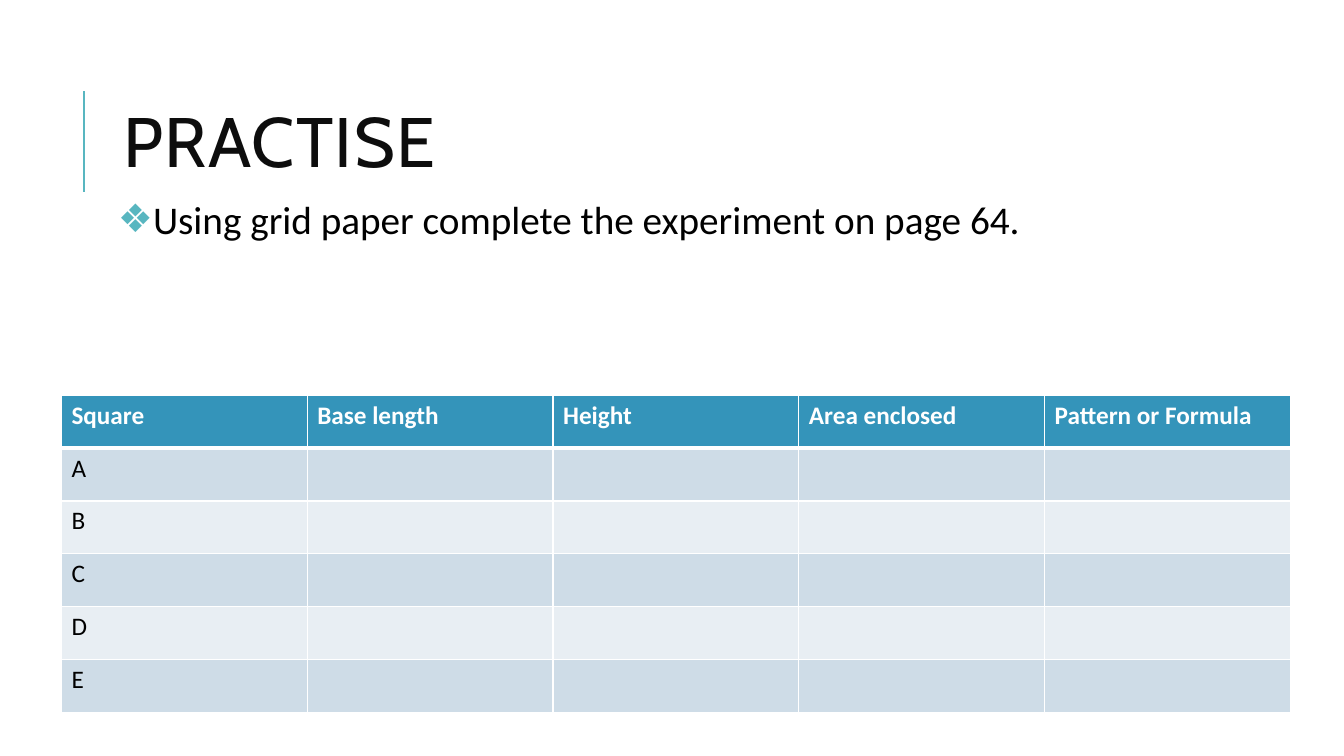
from dataclasses import dataclass

from lxml import etree
from pptx import Presentation
from pptx.dml.color import RGBColor
from pptx.enum.shapes import MSO_CONNECTOR
from pptx.enum.text import MSO_ANCHOR, MSO_AUTO_SIZE, PP_ALIGN
from pptx.oxml.ns import qn
from pptx.util import Inches, Pt

STRAIGHT = MSO_CONNECTOR.STRAIGHT
MIDDLE, TOP = MSO_ANCHOR.MIDDLE, MSO_ANCHOR.TOP
LEFT = PP_ALIGN.LEFT
NO_AUTOFIT = MSO_AUTO_SIZE.NONE


@dataclass(frozen=True)
class Theme:
    title_font: str = "Cabin"
    body_font: str = "Calibri"
    title_size: int = 50
    body_size: int = 28
    table_size: int = 18
    title_color: str = "0D0D0D"
    text_color: str = "000000"
    white: str = "FFFFFF"
    accent: str = "58B6C0"
    header_fill: str = "3494BA"
    band_fills: tuple = ("CEDCE7", "E8EEF3")


THEME = Theme()
HEADINGS = ["Square", "Base length", "Height", "Area enclosed", "Pattern or Formula"]
SQUARES = "ABCDE"


def add_run(paragraph, text, font_name, size, color, bold=False):
    run = paragraph.add_run()
    run.text = text
    run.font.name = font_name
    run.font.size = Pt(size)
    run.font.bold = bold
    run.font.color.rgb = RGBColor.from_string(color)
    return run


def place(shape, box):
    shape.left, shape.top, shape.width, shape.height = map(Inches, box)


def prepare_frame(shape, anchor):
    frame = shape.text_frame
    frame.word_wrap = True
    frame.auto_size = NO_AUTOFIT
    frame.vertical_anchor = anchor
    paragraph = frame.paragraphs[0]
    paragraph.alignment = LEFT
    paragraph.space_before = Pt(0)
    return frame, paragraph


def add_title(slide, box, text):
    left, top, _, height = box
    # Accent rule beside the title
    rule_x, rule_top = left - 0.29, top + 0.26
    rule = slide.shapes.add_connector(
        STRAIGHT, Inches(rule_x), Inches(rule_top + 1), Inches(rule_x), Inches(rule_top))
    rule.line.color.rgb = RGBColor.from_string(THEME.accent)
    rule.line.width = Pt(1.5)
    etree.SubElement(rule._element.spPr, qn("a:effectLst"))

    # Title text
    title = slide.shapes.title
    place(title, box)
    _, paragraph = prepare_frame(title, MIDDLE)
    paragraph.line_spacing = 0.8
    run = add_run(paragraph, text, THEME.title_font, THEME.title_size, THEME.title_color)
    run.font._element.set("spc", "100")


def add_instruction(slide, box, text):
    body = slide.placeholders[1]
    place(body, box)
    frame, paragraph = prepare_frame(body, TOP)
    frame.margin_left = frame.margin_right = Inches(0.05)
    frame.margin_top = frame.margin_bottom = Inches(0.05)
    paragraph.line_spacing = 0.9
    paragraph.space_after = Pt(2)

    # Hanging diamond bullet
    properties = paragraph._p.get_or_add_pPr()
    properties.set("marL", str(Inches(0.1)))
    properties.set("indent", str(-Inches(0.1)))
    bullet_color = etree.SubElement(properties, qn("a:buClr"))
    etree.SubElement(bullet_color, qn("a:srgbClr"), val=THEME.accent)
    etree.SubElement(properties, qn("a:buChar"), char="❖")
    add_run(paragraph, text, THEME.body_font, THEME.body_size, THEME.text_color)


def style_cell(cell, fill, bottom_width):
    # Borders come before the fill in the cell properties
    properties = cell._tc.get_or_add_tcPr()
    for side, width in (("L", 1), ("R", 1), ("T", 1), ("B", bottom_width)):
        line = etree.SubElement(properties, qn(f"a:ln{side}"), w=str(Pt(width)))
        line_fill = etree.SubElement(line, qn("a:solidFill"))
        etree.SubElement(line_fill, qn("a:srgbClr"), val=THEME.white)
    cell.fill.solid()
    cell.fill.fore_color.rgb = RGBColor.from_string(fill)


def add_results_table(slide, box, headings, squares):
    rows = [headings] + [[square] + [""] * (len(headings) - 1) for square in squares]
    table = slide.shapes.add_table(len(rows), len(headings), *map(Inches, box)).table
    for column in table.columns:
        column.width = Inches(box[2] / len(headings))
    for row_index, texts in enumerate(rows):
        table.rows[row_index].height = Inches(box[3] / len(rows))
        is_header = row_index == 0
        fill = THEME.header_fill if is_header else THEME.band_fills[(row_index - 1) % 2]
        color = THEME.white if is_header else THEME.text_color
        for column_index, text in enumerate(texts):
            cell = table.cell(row_index, column_index)
            style_cell(cell, fill, 3 if is_header else 1)
            if text:
                add_run(cell.text_frame.paragraphs[0], text, THEME.body_font,
                        THEME.table_size, color, is_header)


def main():
    presentation = Presentation()
    presentation.slide_width = Inches(13.33)
    presentation.slide_height = Inches(7.5)
    slide = presentation.slides.add_slide(presentation.slide_layouts[1])

    content_left, content_width = 1.12, 10.63
    add_title(slide, (content_left, 0.64, content_width, 1.64), "PRACTISE")
    add_instruction(slide, (content_left, 1.94, content_width, 0.69),
                    "Using grid paper complete the experiment on page 64.")
    add_results_table(slide, (0.61, 3.92, 12.19, 3.15), HEADINGS, SQUARES)
    presentation.save("out.pptx")


if __name__ == "__main__":
    main()
